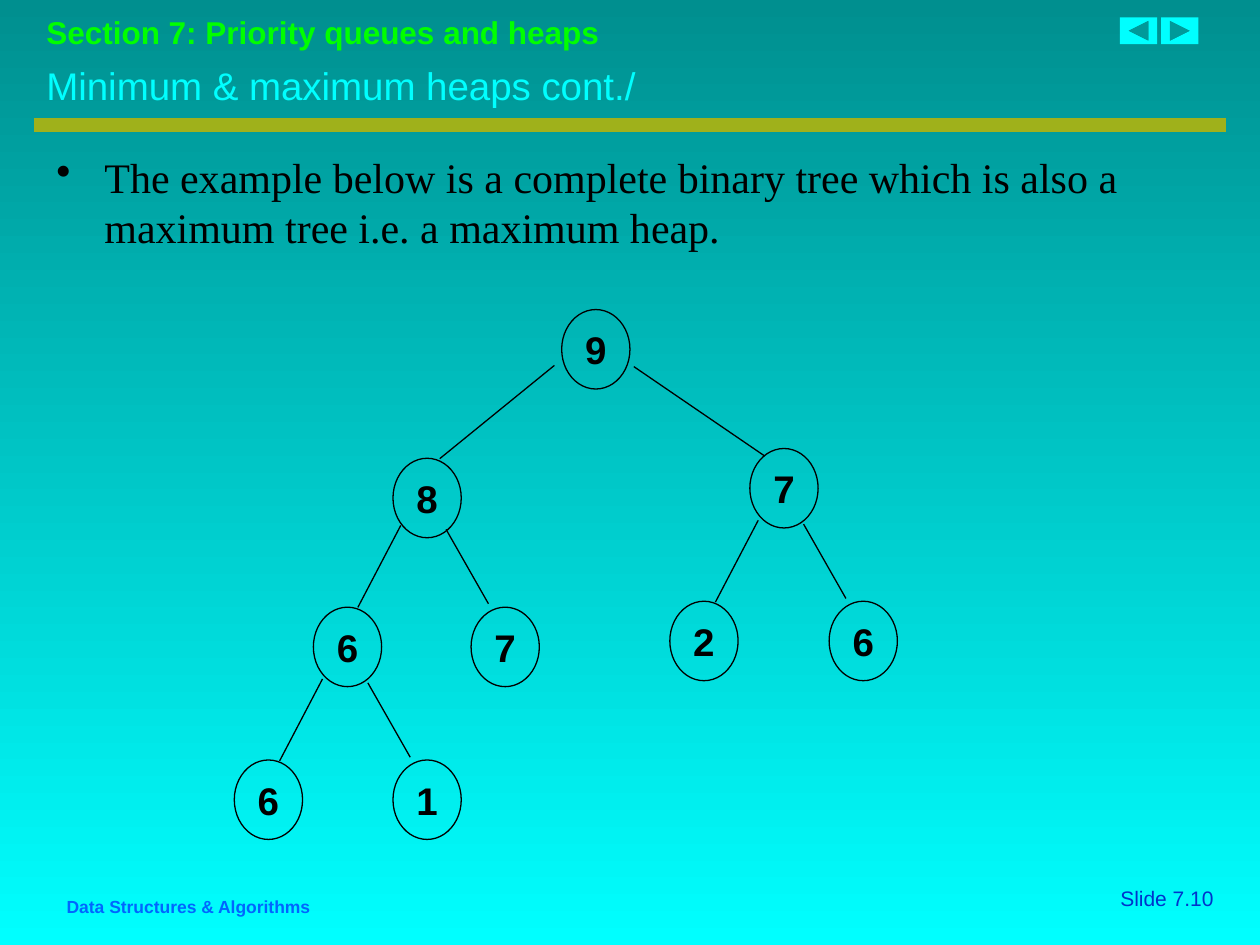
"""Build a slide showing a maximum heap as a binary tree."""
from lxml import etree
from pptx import Presentation
from pptx.dml.color import RGBColor
from pptx.enum import shapes, text
from pptx.oxml.ns import qn
from pptx.util import Pt

THEME = {
    "top": "008F8F", "bottom": "00FFFF", "rule": "9FB11B", "ink": "000000",
    "section": dict(size=18, name="Arial", color="00FF00", bold=True),
    "title": dict(size=22, name="Arial", color="00FFFF", bold=False),
    "body": dict(size=24, name="Times New Roman", color="000000", bold=False),
    "node": dict(size=22, name="Arial", color="000000", bold=True),
    "footer": dict(size=10, name="Arial", color="0066FF", bold=True),
    "number": dict(size=12, name="Arial", color="0033CC", bold=False),
}
TEXTS = [
    ("Section 7: Priority queues and heaps", "section", (19.4, 3.6, 680, 29), {}),
    ("Minimum & maximum heaps cont./", "title", (19.4, 31.7, 663, 33.8),
     {"vertical_anchor": text.MSO_ANCHOR.MIDDLE}),
    ("Data Structures & Algorithms", "footer", (31, 508.3, 221, 19.4), {}),
    ("Slide 7.10", "number", (586.8, 502.6, 113.8, 21.6), {}),
]
BODY = ("The example below is a complete binary tree which is also a "
        "maximum tree i.e. a maximum heap.")
BODY_BOX = (25.2, 82.8, 674.6, 425.5)
INDENT = 27.4
BUTTONS = [
    (shapes.MSO_SHAPE.ACTION_BUTTON_BACK_OR_PREVIOUS, (640, 10, 21.2, 15.2)),
    (shapes.MSO_SHAPE.ACTION_BUTTON_FORWARD_OR_NEXT, (663.6, 10, 21.2, 15.2)),
]
NODES = [
    ("9", 340.5, 199.6), ("8", 244.1, 284.6), ("7", 448, 279),
    ("6", 198.6, 369.7), ("7", 288.7, 369.7), ("2", 402.3, 366.3),
    ("6", 493.3, 366.3), ("6", 153.4, 457), ("1", 244.1, 457),
]
NODE_W, NODE_H = 39, 45.4
ROOT_EDGES = [(316.8, 208.8, 251.3, 262.1), (362.2, 209.5, 437, 260.6)]
FORKS = [(229, 300.3), (433.3, 297.3), (184.3, 388)]
FORK_GAP = (25.9, 2.2)
LEFT_RUN, RIGHT_RUN = (-24.5, 46.8), (24.2, 42.5)


def pts(values):
    return [Pt(v) for v in values]


def rgb(code):
    return RGBColor.from_string(code)


def write(sp, words, style, **frame):
    tf = sp.text_frame
    for key, value in {"word_wrap": True, **frame}.items():
        setattr(tf, key, value)
    p = tf.paragraphs[0]
    r = p.add_run()
    r.text = words
    look = THEME[style]
    for key, value in dict(size=Pt(look["size"]), name=look["name"], bold=look["bold"]).items():
        setattr(r.font, key, value)
    r.font.color.rgb = rgb(look["color"])
    return p


def add_line(slide, ends, color, width):
    line = slide.shapes.add_connector(shapes.MSO_CONNECTOR.STRAIGHT, *pts(ends))
    line.line.color.rgb = rgb(color)
    line.line.width = Pt(width)
    etree.SubElement(line._element.spPr, qn("a:effectLst"))


def add_body(slide):
    p = write(slide.shapes.add_textbox(*pts(BODY_BOX)), BODY, "body")
    p.space_before = Pt(3)
    pPr = p._p.get_or_add_pPr()
    pPr.set("marL", str(Pt(INDENT)))
    pPr.set("indent", str(-Pt(INDENT)))
    etree.SubElement(pPr, qn("a:buChar")).set("char", "•")


def add_node(slide, label, cx, cy):
    box = (cx - NODE_W / 2, cy - NODE_H / 2, NODE_W, NODE_H)
    sp = slide.shapes.add_shape(shapes.MSO_SHAPE.OVAL, *pts(box))
    sp.shadow.inherit = False
    sp.fill.background()
    sp.line.color.rgb = rgb(THEME["ink"])
    sp.line.width = Pt(0.75)
    margins = {f"margin_{side}": 0 for side in ("left", "right", "top", "bottom")}
    p = write(sp, label, "node", vertical_anchor=text.MSO_ANCHOR.MIDDLE, **margins)
    p.alignment = text.PP_ALIGN.CENTER


def tree_edges():
    edges = list(ROOT_EDGES)
    for x, y in FORKS:
        rx, ry = x + FORK_GAP[0], y + FORK_GAP[1]
        edges.append((x, y, x + LEFT_RUN[0], y + LEFT_RUN[1]))
        edges.append((rx, ry, rx + RIGHT_RUN[0], ry + RIGHT_RUN[1]))
    return edges


def main():
    prs = Presentation()
    prs.slide_width, prs.slide_height = Pt(720), Pt(540)
    slide = prs.slides.add_slide(prs.slide_layouts[6])
    fill = slide.background.fill
    fill.gradient()
    fill.gradient_angle = 270
    for stop, key in zip(fill.gradient_stops, ("top", "bottom")):
        stop.color.rgb = rgb(THEME[key])
    add_line(slide, (19.4, 71.5, 700.6, 71.5), THEME["rule"], 8)
    for words, style, box, frame in TEXTS:
        p = write(slide.shapes.add_textbox(*pts(box)), words, style, **frame)
        if style == "number":
            p.alignment = text.PP_ALIGN.RIGHT
    for kind, box in BUTTONS:
        sp = slide.shapes.add_shape(kind, *pts(box))
        sp.shadow.inherit = False
        sp.fill.solid()
        sp.fill.fore_color.rgb = rgb(THEME["bottom"])
        sp.line.fill.background()
    add_body(slide)
    for ends in tree_edges():
        add_line(slide, ends, THEME["ink"], 0.75)
    for node in NODES:
        add_node(slide, *node)
    prs.save("out.pptx")


if __name__ == "__main__":
    main()
